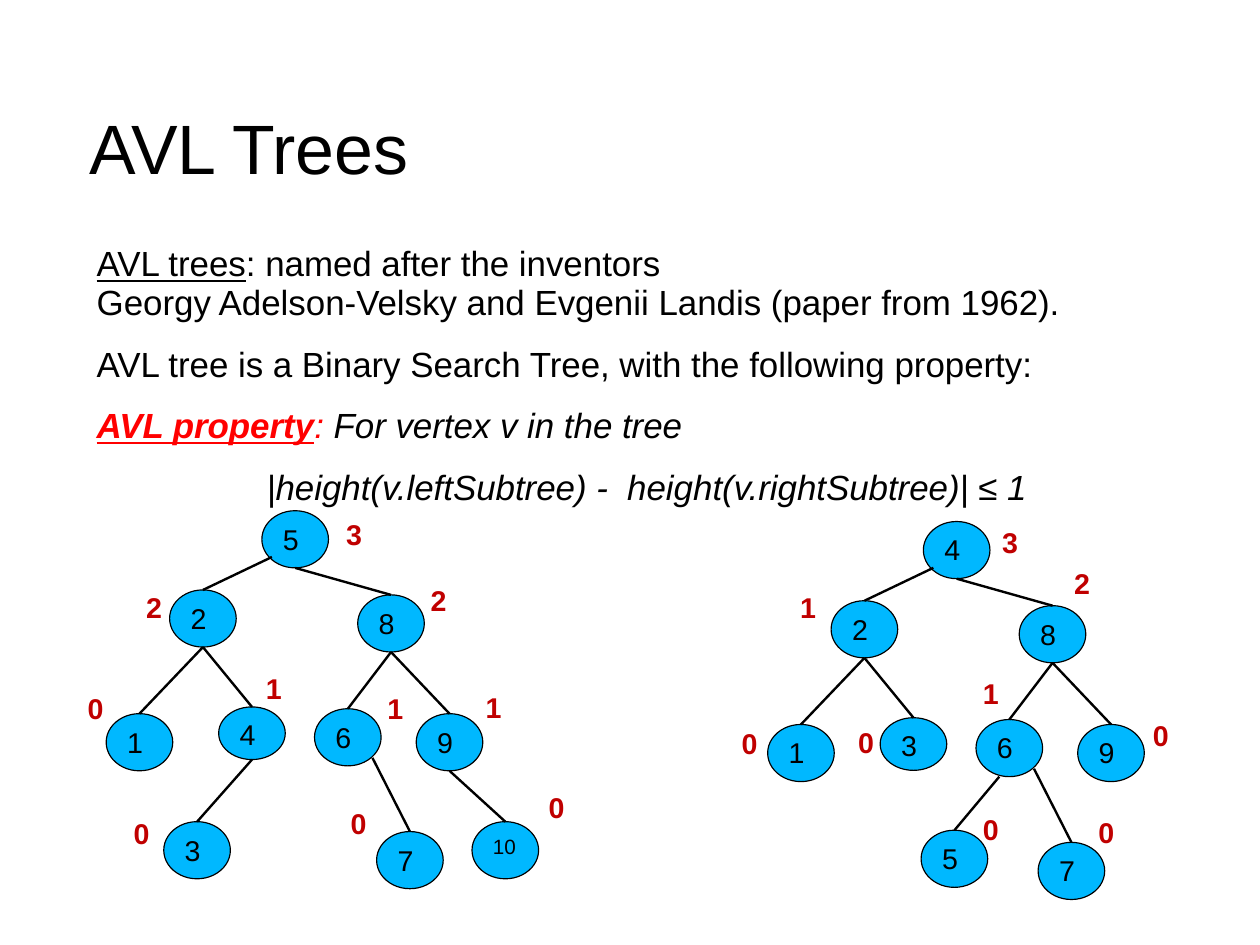
from lxml import etree
from pptx import Presentation
from pptx import util as u
from pptx.dml.color import RGBColor
from pptx.enum import shapes, text
from pptx.oxml.ns import qn

BLACK = RGBColor(0x00, 0x00, 0x00)
RED = RGBColor(0xFF, 0x00, 0x00)
DARK_RED = RGBColor(0xC0, 0x00, 0x00)
BLUE = RGBColor(0x00, 0xB8, 0xFF)

NODE_W, NODE_H, SHORT_H = 1.48, 1.27, 1.17
BOTTOM = (0.5, 1)

SLOTS = {
    "": (5.82, 11.35),
    "L": (3.77, 13.11),
    "R": (7.95, 13.22),
    "LL": (2.36, 15.86),
    "LR": (4.86, 15.71),
    "RL": (6.99, 15.75),
    "RR": (9.25, 15.86),
    "LRL": (3.64, 18.26),
    "RLL": (5.77, 18.21),
    "RLR": (8.37, 18.48),
    "RRR": (10.49, 18.26),
}
EXITS = {"L": (0.15, 0.81), "RLL": (0.35, 1), "RLR": (0.87, 0.86)}

LEFT_TREE = {
    "": (5, 3, 7.44, 11.43),
    "L": (2, 2, 3.0, 13.06),
    "R": (8, 2, 9.32, 12.9),
    "LL": (1, 0, 1.7, 15.29),
    "LR": (4, 1, 5.66, 14.86),
    "RL": (6, 1, 8.36, 15.29),
    "RR": (9, 1, 10.54, 15.27),
    "LRL": (3, 0, 2.72, 18.08),
    "RLR": (7, 0, 7.54, 17.86),
    "RRR": (10, 0, 11.94, 17.5),
}
RIGHT_TREE = {
    "": (4, 3, 22.02, 11.61),
    "L": (2, 1, 17.53, 13.06),
    "R": (8, 2, 23.62, 12.52),
    "LL": (1, 0, 16.23, 16.08),
    "LR": (3, 0, 18.82, 16.05),
    "RL": (6, 1, 21.59, 14.96),
    "RR": (9, 0, 25.37, 15.9),
    "RLL": (5, 0, 21.59, 17.98),
    "RLR": (7, 0, 24.16, 18.06),
}


class Deck:
    font = "Arial"
    spacing = 0.93

    def __init__(self, prs):
        self.s = prs.slides.add_slide(prs.slide_layouts[6])

    def style(self, p, size, color=BLACK, bold=False, italic=False):
        p.line_spacing = self.spacing
        p.font.name = self.font
        p.font.size = u.Pt(size)
        p.font.bold = bold
        p.font.italic = italic
        if color is not None:
            p.font.color.rgb = color

    def box(self, x, y, w, h, top=0.0):
        tf = self.s.shapes.add_textbox(u.Cm(x), u.Cm(y), u.Cm(w), u.Cm(h)).text_frame
        tf.word_wrap = True
        tf.margin_left = tf.margin_right = tf.margin_bottom = 0
        tf.margin_top = u.Cm(top)
        return tf

    def title(self, content, x, y, w, h):
        tf = self.box(x, y, w, h, top=0.1)
        tf.vertical_anchor = text.MSO_ANCHOR.MIDDLE
        tf.text = content
        self.style(tf.paragraphs[0], 44)

    def body(self, paragraphs, x, y, w, h):
        tf = self.box(x, y, w, h, top=0.05)
        for i, (runs, italic, align) in enumerate(paragraphs):
            p = tf.add_paragraph() if i else tf.paragraphs[0]
            mixed = len({color for _, color, _, _ in runs}) > 1
            self.style(p, 22, None if mixed else runs[0][1], italic=italic)
            p.alignment = align
            p.space_after = u.Pt(14.2)
            p._p.get_or_add_pPr().set("marL", str(u.Cm(0.15)))
            for content, color, bold, underline in runs:
                for n, line in enumerate(content.split("\n")):
                    if n:
                        p.add_line_break()
                    r = p.add_run()
                    r.text = line
                    if bold:
                        r.font.bold = True
                    if underline:
                        r.font.underline = True
                    if mixed:
                        r.font.color.rgb = color

    def node(self, key, x, y, h):
        sp = self.s.shapes.add_shape(
            shapes.MSO_SHAPE.OVAL, u.Cm(x), u.Cm(y), u.Cm(NODE_W), u.Cm(h))
        sp.shadow.inherit = False
        sp.fill.solid()
        sp.fill.fore_color.rgb = BLUE
        sp.line.color.rgb = BLACK
        sp.line.width = u.Pt(0.75)
        tf = sp.text_frame
        tf.vertical_anchor = text.MSO_ANCHOR.TOP
        tf.text = str(key)
        p = tf.paragraphs[0]
        p.alignment = text.PP_ALIGN.LEFT
        self.style(p, 18 if key < 10 else 13)

    def edge(self, x1, y1, x2, y2):
        line = self.s.shapes.add_connector(
            shapes.MSO_CONNECTOR.STRAIGHT, u.Cm(x1), u.Cm(y1), u.Cm(x2), u.Cm(y2))
        line.line.color.rgb = BLACK
        line.line.width = u.Pt(1.5)
        etree.SubElement(line._element.spPr, qn("a:effectLst"))

    def height_label(self, height, x, y):
        sp = self.s.shapes.add_textbox(u.Cm(x), u.Cm(y), u.Cm(0.86), u.Cm(0.97))
        tf = sp.text_frame
        tf.word_wrap = False
        tf.text = str(height)
        self.style(tf.paragraphs[0], 18, DARK_RED, bold=True)

    def tree(self, nodes, dx=0.0, dy=0.0):
        for slot, (key, height, label_x, label_y) in nodes.items():
            x, y = SLOTS[slot]
            self.node(key, x + dx, y + dy, node_height(slot))
            if slot:
                parent = slot[:-1]
                px, py = SLOTS[parent]
                fx, fy = EXITS.get(slot, BOTTOM)
                self.edge(px + fx * NODE_W + dx, py + fy * node_height(parent) + dy,
                          x + NODE_W / 2 + dx, y + dy)
            self.height_label(height, label_x, label_y)


def node_height(slot):
    return SHORT_H if slot == "LR" else NODE_H


prs = Presentation()
prs.slide_width, prs.slide_height = u.Cm(28), u.Cm(21)
deck = Deck(prs)
deck.title("AVL Trees", 2, 1.58, 23.5, 3.47)
LEFT, CENTER = text.PP_ALIGN.LEFT, text.PP_ALIGN.CENTER
deck.body([
    ([("AVL trees", BLACK, False, True),
      (": named after the inventors\n"
       "Georgy Adelson-Velsky and Evgenii Landis (paper from 1962).", BLACK, False, False)],
     False, LEFT),
    ([("AVL tree is a Binary Search Tree, with the following property:", BLACK, False, False)],
     False, LEFT),
    ([("AVL property", RED, True, True),
      (": ", RED, False, False),
      ("For vertex v in the tree", BLACK, False, False)], True, LEFT),
    ([("|height(v.leftSubtree) -  height(v.rightSubtree)| ≤ 1", BLACK, False, False)],
     True, CENTER),
], 2, 5.41, 24.6, 13.36)
deck.tree(LEFT_TREE)
deck.tree(RIGHT_TREE, dx=14.7, dy=0.24)
prs.save("out.pptx")
